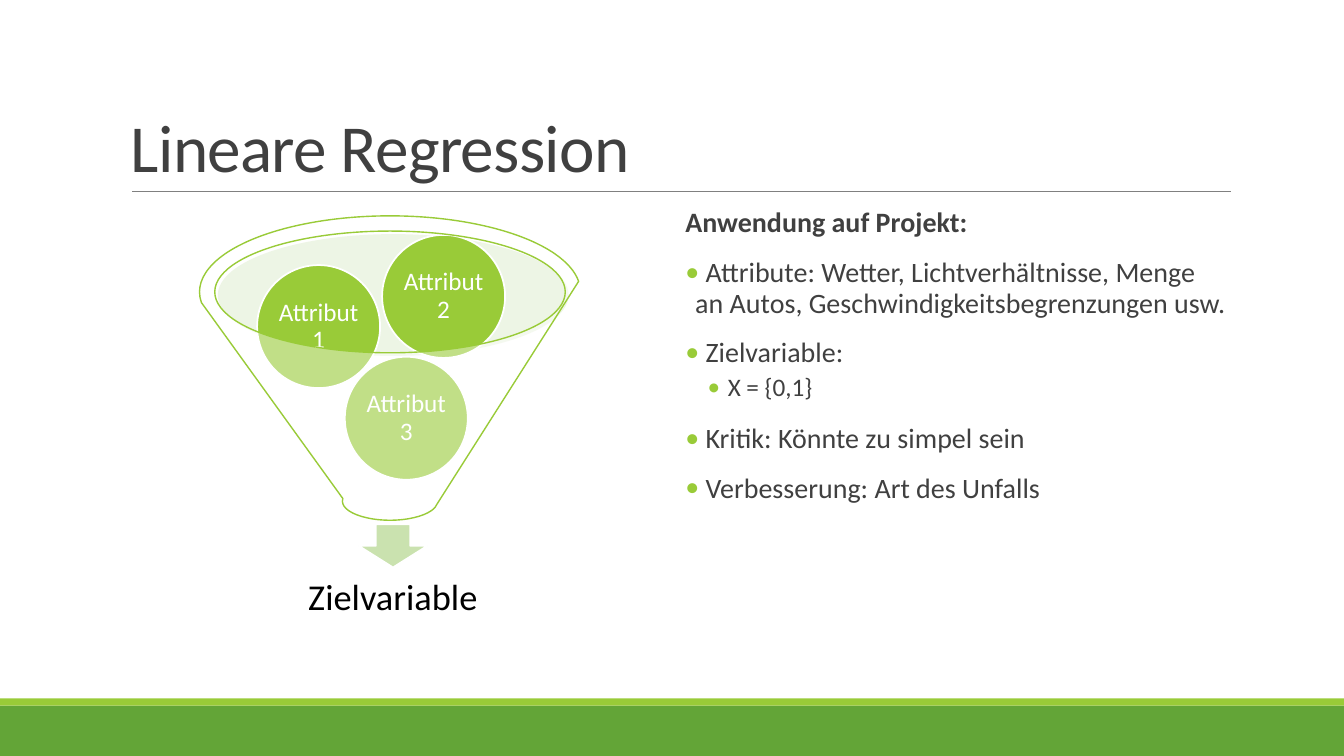
from dataclasses import dataclass

from lxml.etree import SubElement
from pptx import Presentation
from pptx.dml.color import RGBColor as RGB
from pptx.enum.shapes import MSO_CONNECTOR as CONN, MSO_SHAPE as SHAPE
from pptx.enum.text import MSO_ANCHOR as ANCHOR, MSO_AUTO_SIZE as AUTO, PP_ALIGN as ALIGN
from pptx.oxml.ns import qn
from pptx.util import Cm, Pt


@dataclass(frozen=True)
class Theme:
    """Colours, font and type sizes of the slide."""
    font: str = "Calibri"
    white: str = "FFFFFF"
    black: str = "000000"
    text: str = "404040"
    rule: str = "808080"
    green: str = "63A537"
    lime: str = "99CB38"
    mouth: str = "D4E7BF"
    arrow: str = "CAE2AF"
    title: int = 48
    result: int = 26
    body: int = 20
    small: int = 18


THEME = Theme()


def add_shape(slide, kind, box, fill, line=None, width=1.25, alpha=None):
    """Add a preset shape in a box given in centimetres."""
    sp = slide.shapes.add_shape(kind, *map(Cm, box))
    sp.shadow.inherit = False
    sp.fill.solid()
    sp.fill.fore_color.rgb = RGB.from_string(fill)
    if alpha is not None:
        clr = sp.fill._xPr.find(qn("a:solidFill"))[0]
        SubElement(clr, qn("a:alpha")).set("val", str(alpha * 1000))
    if line:
        sp.line.color.rgb = RGB.from_string(line)
        sp.line.width = Pt(width)
    else:
        sp.line.fill.background()
    return sp


def set_frame(tf, anchor, x_inset, y_inset):
    """Set wrapping, anchor and insets of a text frame."""
    tf.word_wrap = True
    tf.auto_size = AUTO.NONE
    tf.vertical_anchor = anchor
    tf.margin_left = tf.margin_right = Cm(x_inset)
    tf.margin_top = tf.margin_bottom = Cm(y_inset)


def add_run(p, text, size, color, bold=False):
    """Add a formatted run to a paragraph."""
    r = p.add_run()
    r.text = text
    r.font.name = THEME.font
    r.font.size = Pt(size)
    r.font.bold = bold
    r.font.color.rgb = RGB.from_string(color)
    return r


def place(sp, box):
    """Move a placeholder to a box given in centimetres."""
    sp.left, sp.top, sp.width, sp.height = map(Cm, box)


def add_centred(sp, text, size, color, inset):
    """Fill a shape with one centred paragraph."""
    tf = sp.text_frame
    set_frame(tf, ANCHOR.MIDDLE, inset, inset)
    p = tf.paragraphs[0]
    p.alignment = ALIGN.CENTER
    p.line_spacing = 0.9
    add_run(p, text, size, color)


def add_footer(slide, box):
    """Draw the two-tone band at the foot of the slide."""
    x, y, w, h = box
    strip = 0.18
    add_shape(slide, SHAPE.RECTANGLE, (x, y + strip, w, h - strip), THEME.green)
    add_shape(slide, SHAPE.RECTANGLE, (x, y, w, strip), THEME.lime)


def add_title(slide, box, text):
    """Place the title above its rule."""
    x, y, w, h = box
    sp = slide.shapes.title
    place(sp, box)
    set_frame(sp.text_frame, ANCHOR.BOTTOM, 0.25, 0.13)
    p = sp.text_frame.paragraphs[0]
    p.alignment = ALIGN.LEFT
    p.line_spacing = 0.85
    r = add_run(p, text, THEME.title, THEME.text)
    r.font._element.set("spc", "-50")
    bottom = Cm(y + h)
    rule = slide.shapes.add_connector(CONN.STRAIGHT, Cm(x + 0.28), bottom, Cm(x + w + 0.02), bottom)
    rule.line.color.rgb = RGB.from_string(THEME.rule)
    rule.line.width = Pt(0.5)
    SubElement(rule._element.spPr, qn("a:effectLst"))


def add_funnel(slide, box, attributes, result):
    """Draw the funnel with its attributes, arrow and result."""
    x, y, w, h = box
    add_shape(slide, SHAPE.OVAL, (x + 0.46, y + 0.46, w - 0.76, 3.07), THEME.mouth, alpha=40)
    add_shape(slide, SHAPE.DOWN_ARROW, (x + 4.01, y + h + 0.1, 1.73, 1.09), THEME.arrow, THEME.white)
    label = slide.shapes.add_textbox(Cm(x + 0.76), Cm(y + h + 0.96), Cm(8.23), Cm(2.06))
    add_centred(label, result, THEME.result, THEME.black, 0.51)
    for text, dx, dy in attributes:
        ball = add_shape(slide, SHAPE.OVAL, (x + dx, y + dy, 3.1, 3.1), THEME.lime, THEME.white)
        add_centred(ball, text, THEME.small, THEME.white, 0.08)
    add_shape(slide, SHAPE.FUNNEL, box, THEME.white, THEME.lime, 1, alpha=40)


def set_bullet(p, indent, hanging):
    """Give a paragraph a lime bullet and a hanging indent."""
    pPr = p._p.get_or_add_pPr()
    pPr.set("marL", str(Cm(indent)))
    pPr.set("indent", str(-Cm(hanging)))
    clr = SubElement(pPr, qn("a:buClr"))
    SubElement(clr, qn("a:srgbClr")).set("val", THEME.lime)
    SubElement(pPr, qn("a:buFont")).set("typeface", THEME.font)
    SubElement(pPr, qn("a:buChar")).set("char", "•")


def add_body(slide, box, heading, items):
    """Fill the body placeholder with a heading and a two-level list."""
    sp = slide.placeholders[1]
    place(sp, box)
    tf = sp.text_frame
    set_frame(tf, ANCHOR.TOP, 0, 0.13)
    p = tf.paragraphs[0]
    for i, (level, text) in enumerate([(0, heading)] + items):
        if i:
            p = tf.add_paragraph()
        p.level = level
        p.alignment = ALIGN.LEFT
        p.line_spacing = 0.9
        p.space_before, p.space_after = (Pt(2), Pt(4)) if level else (Pt(12), Pt(2))
        if i:
            set_bullet(p, *((1.07, 0.51) if level else (0.25, 0.25)))
        else:
            pPr = p._p.get_or_add_pPr()
            pPr.set("marL", "0")
            pPr.set("indent", "0")
            SubElement(pPr, qn("a:buNone"))
        add_run(p, text, THEME.small if level else THEME.body, THEME.text, bold=i == 0)


def main():
    """Build and save the slide."""
    prs = Presentation()
    prs.slide_width, prs.slide_height = Cm(33.87), Cm(19.05)
    slide = prs.slides.add_slide(prs.slide_layouts[1])
    add_footer(slide, (0, 17.6, 33.87, 1.45))
    add_title(slide, (3.05, 0.79, 27.94, 4.04), "Lineare Regression")
    add_funnel(slide, (5.03, 5.44, 9.6, 7.67), [
        ("Attribut 3", 3.66, 3.55),
        ("Attribut 1", 1.45, 1.24),
        ("Attribut 2", 4.6, 0.48),
    ], "Zielvariable")
    add_body(slide, (17.27, 5.13, 13.72, 11.18), "Anwendung auf Projekt:", [
        (0, " Attribute: Wetter, Lichtverhältnisse, Menge an Autos, Geschwindigkeitsbegrenzungen usw."),
        (0, " Zielvariable:"),
        (1, "X = {0,1}"),
        (0, " Kritik: Könnte zu simpel sein"),
        (0, " Verbesserung: Art des Unfalls"),
    ])
    prs.save("out.pptx")


if __name__ == "__main__":
    main()
